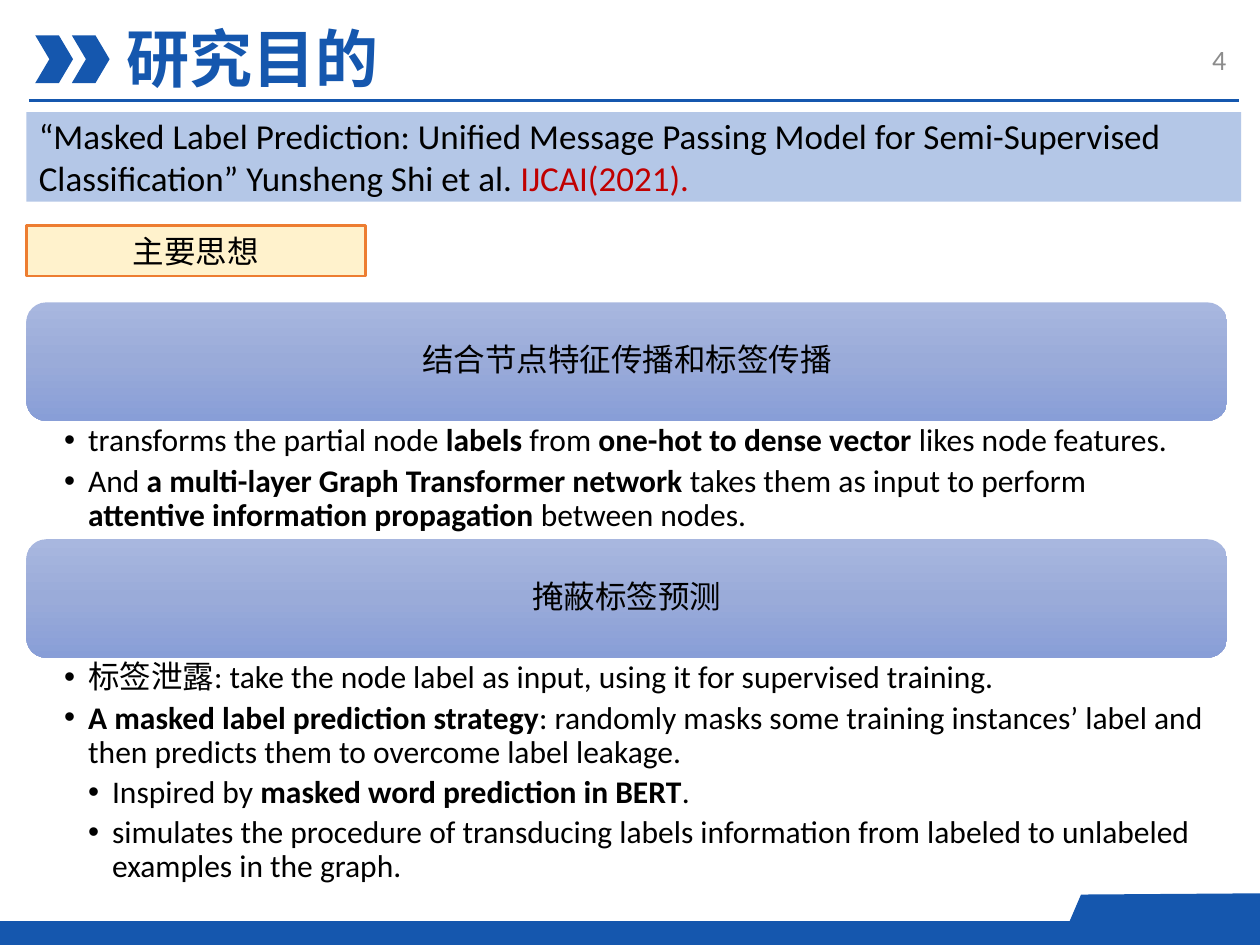
from copy import deepcopy

from lxml.etree import SubElement
from pptx import Presentation
from pptx.dml.color import RGBColor
from pptx.enum.shapes import MSO_CONNECTOR, MSO_SHAPE as SHAPE
from pptx.enum.text import MSO_ANCHOR as ANCHOR, MSO_AUTO_SIZE, PP_ALIGN as ALIGN
from pptx.oxml.ns import qn
from pptx.util import Inches, Pt

BLUE, BLACK, RED, GREY = "1557AE", "000000", "C00000", "8C8C8C"
LATIN, CHINESE, SERIF = "Calibri", "Noto Sans CJK SC", "Times New Roman"
GRADIENT = [(0, "A8B7DF"), (0.5, "9AABD9"), (1, "889ED7")]
LEFT, WIDTH, HEADING_HEIGHT = 0.21, 9.53, 0.94

TITLE = "研究目的"
CITATION = [
    ("“Masked Label Prediction: Unified Message Passing Model for Semi-Supervised "
     "Classification” Yunsheng Shi et al. ", {}),
    ("IJCAI(2021).", {"color": RED}),
]
MAIN_IDEA = "主要思想"
BOLD = {"bold": True}
SECTIONS = [
    {"heading": "结合节点特征传播和标签传播", "top": 2.4, "list_height": 0.94, "items": [
        (1, [("transforms the partial node ", {}), ("labels", BOLD), (" from ", {}),
             ("one-hot to dense vector ", BOLD), ("likes node features.", {})]),
        (1, [("And ", {}), ("a multi-layer Graph Transformer network ", BOLD),
             ("takes them as input to perform ", {}),
             ("attentive information propagation", BOLD), (" between nodes.", {})]),
    ]},
    {"heading": "掩蔽标签预测", "top": 4.28, "list_height": 1.93, "items": [
        (1, [("标签泄露: take the node label as input, using it for supervised training.", {})]),
        (1, [("A masked label prediction strategy", BOLD),
             (": randomly masks some training instances’ label and then predicts them "
              "to overcome label leakage.", {})]),
        (2, [("Inspired by ", {}), ("masked word prediction in BERT", BOLD), (".", {})]),
        (2, [("simulates the procedure of transducing labels information from labeled "
              "to unlabeled examples in the graph.", {})]),
    ]},
]


def rgb(value):
    return RGBColor.from_string(value)


def place(box, left, top, width, height):
    box.left, box.top = Inches(left), Inches(top)
    box.width, box.height = Inches(width), Inches(height)


def prepare(box, anchor, insets=(0.1, 0.05, 0.1, 0.05)):
    frame = box.text_frame
    settings = {"word_wrap": True, "auto_size": MSO_AUTO_SIZE.NONE, "vertical_anchor": anchor}
    for side, inset in zip(("left", "top", "right", "bottom"), insets):
        settings[f"margin_{side}"] = Inches(inset)
    for name, value in settings.items():
        setattr(frame, name, value)
    return frame


def write(para, spans, size=18, font=LATIN, color=BLACK, bold=False, align=ALIGN.LEFT):
    para.alignment = align
    for text, changes in spans:
        span = para.add_run()
        span.text = text
        values = {"name": font, "size": Pt(size), "bold": changes.get("bold", bold)}
        for name, value in values.items():
            setattr(span.font, name, value)
        span.font.color.rgb = rgb(changes.get("color", color))
        SubElement(span.font._element, qn("a:ea"), typeface=CHINESE)


def paint(shape, fill, line=None):
    shape.shadow.inherit = False
    shape.fill.solid()
    shape.fill.fore_color.rgb = rgb(fill)
    if line:
        shape.line.color.rgb = rgb(line)
        shape.line.width = Pt(1.5)
    else:
        shape.line.fill.background()


def add_block(page, kind, area, fill, line=None):
    shape = page.shapes.add_shape(kind, *map(Inches, area))
    paint(shape, fill, line)
    return shape


def shade(shape):
    shape.fill.gradient()
    shape.fill.gradient_angle = 270
    stop_list = shape._element.spPr.find(".//" + qn("a:gsLst"))
    stop_list.insert(1, deepcopy(stop_list[0]))
    for stop, (position, color) in zip(shape.fill.gradient_stops, GRADIENT):
        stop.position = position
        stop.color.rgb = rgb(color)


def add_bullet(para, level):
    para.level = level
    settings = {"line_spacing": 0.9, "space_before": Pt(0), "space_after": Pt(3.6)}
    for name, value in settings.items():
        setattr(para, name, value)
    properties = para._p.get_or_add_pPr()
    properties.set("marL", str(Inches(0.19 * level)))
    properties.set("indent", str(Inches(-0.19)))
    SubElement(properties, qn("a:buFont"), typeface="Arial")
    SubElement(properties, qn("a:buChar"), char="•")


def add_frame(page):
    add_block(page, SHAPE.FLOWCHART_PROCESS, (0, 7.31, 10, 0.19), BLUE)
    builder = page.shapes.build_freeform(Inches(10), Inches(7.45), scale=1.0)
    corners = [(10, 7.09), (8.58, 7.1), (8.43, 7.45)]
    builder.add_line_segments([(Inches(x), Inches(y)) for x, y in corners], close=True)
    paint(builder.convert_to_shape(), BLUE)
    rule = page.shapes.add_connector(
        MSO_CONNECTOR.STRAIGHT, *map(Inches, (0.23, 0.8, 9.83, 0.8)))
    rule.line.color.rgb = rgb(BLUE)
    rule.line.width = Pt(1.5)
    SubElement(rule._element.spPr, qn("a:effectLst"))
    for left in (0.28, 0.57):
        chevron = add_block(page, SHAPE.CHEVRON, (left, 0.28, 0.3, 0.38), BLUE)
        chevron.adjustments[0] = 0.375
    number = page.shapes.add_textbox(*map(Inches, (9.04, 0.28, 0.79, 0.38)))
    write(prepare(number, ANCHOR.MIDDLE).paragraphs[0], [("4", {})],
          size=16, color=GREY, align=ALIGN.RIGHT)


def add_section(page, body, section):
    top = section["top"]
    heading = add_block(page, SHAPE.ROUNDED_RECTANGLE,
                        (LEFT, top, WIDTH, HEADING_HEIGHT), GRADIENT[0][1])
    shade(heading)
    para = prepare(heading, ANCHOR.MIDDLE).paragraphs[0]
    para.line_spacing = 0.9
    write(para, [(section["heading"], {})], font=CHINESE, align=ALIGN.CENTER)

    place(body, LEFT, top + HEADING_HEIGHT, WIDTH, section["list_height"])
    frame = prepare(body, ANCHOR.TOP, (0.3, 0.03, 0.14, 0.03))
    for index, (level, spans) in enumerate(section["items"]):
        para = frame.add_paragraph() if index else frame.paragraphs[0]
        add_bullet(para, level)
        write(para, spans)


def main():
    deck = Presentation()
    deck.slide_width, deck.slide_height = Inches(10), Inches(7.5)
    page = deck.slides.add_slide(deck.slide_layouts.get_by_name("Two Content"))
    title, *bodies = page.placeholders
    add_frame(page)

    place(title, 0, 0.1, 4, 0.71)
    write(prepare(title, ANCHOR.MIDDLE).paragraphs[0], [(TITLE, {})],
          size=36, font=CHINESE, color=BLUE, bold=True, align=ALIGN.CENTER)

    label = add_block(page, SHAPE.RECTANGLE, (LEFT, 1.79, 2.69, 0.4), "FFF2CC", "ED7D31")
    write(prepare(label, ANCHOR.MIDDLE).paragraphs[0], [(MAIN_IDEA, {})],
          font=SERIF, align=ALIGN.CENTER)

    citation = add_block(page, SHAPE.RECTANGLE, (LEFT, 0.89, 9.64, 0.71), "B4C7E7")
    write(prepare(citation, ANCHOR.MIDDLE).paragraphs[0], CITATION, size=20)

    for body, section in zip(bodies, SECTIONS):
        add_section(page, body, section)
    deck.save("out.pptx")


if __name__ == "__main__":
    main()
